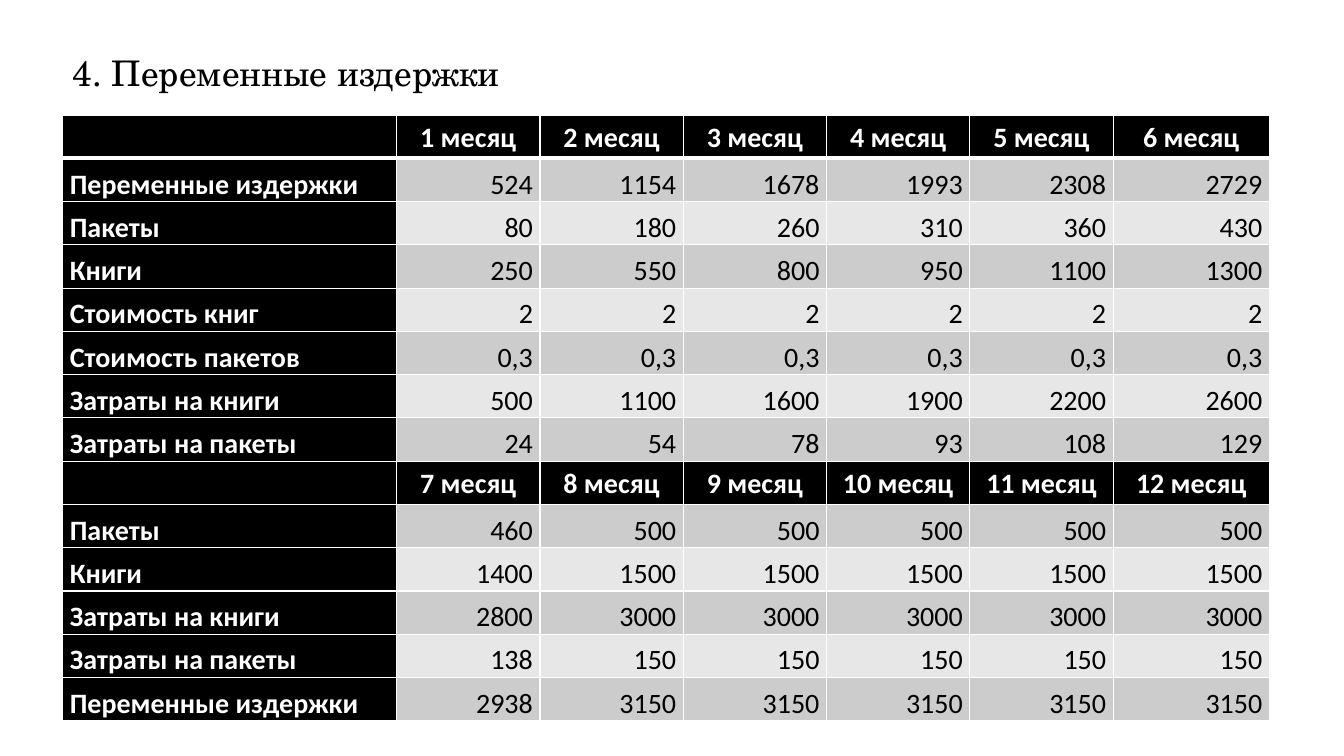
from dataclasses import dataclass

from lxml.etree import SubElement
from pptx import Presentation
from pptx.dml.color import RGBColor
from pptx.enum.text import MSO_ANCHOR, PP_ALIGN
from pptx.oxml.ns import qn
from pptx.slide import Slide
from pptx.table import _Cell
from pptx.text.text import _Paragraph
from pptx.util import Pt

BLACK = "000000"
WHITE = "FFFFFF"
BAND_FILLS = ("E7E7E7", "CCCCCC")
TABLE_LEFT = 44.9
TABLE_TOP = 82.2
ROW_HEIGHT = 30.9
COLUMN_WIDTHS = [238.4] + [102.36] * 5 + [111.6]
THIN_BORDER = 1
HEADER_BORDER = 3


@dataclass(frozen=True)
class CostRow:
    label: str
    values: list[str]
    is_header: bool = False


@dataclass(frozen=True)
class CellStyle:
    fill: str
    text_color: str
    bold: bool
    alignment: PP_ALIGN
    anchor: MSO_ANCHOR


def month_row(first: int) -> CostRow:
    return CostRow("", [f"{month} месяц" for month in range(first, first + 6)], True)


COST_ROWS = [
    month_row(1),
    CostRow("Переменные издержки", ["524", "1154", "1678", "1993", "2308", "2729"]),
    CostRow("Пакеты", ["80", "180", "260", "310", "360", "430"]),
    CostRow("Книги", ["250", "550", "800", "950", "1100", "1300"]),
    CostRow("Стоимость книг", ["2"] * 6),
    CostRow("Стоимость пакетов", ["0,3"] * 6),
    CostRow("Затраты на книги", ["500", "1100", "1600", "1900", "2200", "2600"]),
    CostRow("Затраты на пакеты", ["24", "54", "78", "93", "108", "129"]),
    month_row(7),
    CostRow("Пакеты", ["460"] + ["500"] * 5),
    CostRow("Книги", ["1400"] + ["1500"] * 5),
    CostRow("Затраты на книги", ["2800"] + ["3000"] * 5),
    CostRow("Затраты на пакеты", ["138"] + ["150"] * 5),
    CostRow("Переменные издержки", ["2938"] + ["3150"] * 5),
]

HEADER_STYLE = CellStyle(BLACK, WHITE, True, PP_ALIGN.CENTER, MSO_ANCHOR.MIDDLE)
LABEL_STYLE = CellStyle(BLACK, WHITE, True, PP_ALIGN.LEFT, MSO_ANCHOR.BOTTOM)
VALUE_STYLES = [
    CellStyle(fill, BLACK, False, PP_ALIGN.RIGHT, MSO_ANCHOR.BOTTOM)
    for fill in BAND_FILLS
]


def color(value: str) -> RGBColor:
    return RGBColor.from_string(value)


def format_paragraph(
    paragraph: _Paragraph, font_name: str, size: float, text_color: str,
    bold: bool, line_spacing: float,
) -> None:
    paragraph.line_spacing = line_spacing
    for run in paragraph.runs:
        run.font.name = font_name
        run.font.size = Pt(size)
        run.font.bold = bold
        run.font.color.rgb = color(text_color)


def add_title(slide: Slide, text: str) -> None:
    shape = slide.shapes.add_textbox(Pt(44.9), Pt(25.2), Pt(340.6), Pt(56.9))
    text_frame = shape.text_frame
    text_frame.word_wrap = True
    text_frame.vertical_anchor = MSO_ANCHOR.MIDDLE
    text_frame.text = text
    format_paragraph(text_frame.paragraphs[0], "TeX Gyre Schola", 25.2, BLACK, False, 0.9)


def add_borders(cell: _Cell, row_index: int) -> None:
    properties = cell._tc.get_or_add_tcPr()
    widths = {
        "a:lnL": THIN_BORDER,
        "a:lnR": THIN_BORDER,
        "a:lnT": HEADER_BORDER if row_index == 1 else THIN_BORDER,
        "a:lnB": HEADER_BORDER if row_index == 0 else THIN_BORDER,
    }
    for tag, width in widths.items():
        line = SubElement(properties, qn(tag), w=str(Pt(width)))
        fill = SubElement(line, qn("a:solidFill"))
        SubElement(fill, qn("a:srgbClr"), val=WHITE)


def write_cell(cell: _Cell, text: str, style: CellStyle, row_index: int) -> None:
    add_borders(cell, row_index)
    cell.fill.solid()
    cell.fill.fore_color.rgb = color(style.fill)
    cell.margin_left = cell.margin_right = Pt(5)
    cell.margin_top = cell.margin_bottom = Pt(0)
    cell.vertical_anchor = style.anchor
    cell.text_frame.text = text
    paragraph = cell.text_frame.paragraphs[0]
    paragraph.alignment = style.alignment
    format_paragraph(paragraph, "Calibri", 20, style.text_color, style.bold, 1.07)


def add_cost_table(slide: Slide, cost_rows: list[CostRow]) -> None:
    table = slide.shapes.add_table(
        len(cost_rows), len(COLUMN_WIDTHS), Pt(TABLE_LEFT), Pt(TABLE_TOP),
        Pt(sum(COLUMN_WIDTHS)), Pt(ROW_HEIGHT * len(cost_rows)),
    ).table
    table.horz_banding = False
    for column, width in zip(table.columns, COLUMN_WIDTHS):
        column.width = Pt(width)
    for row_index, cost_row in enumerate(cost_rows):
        table.rows[row_index].height = Pt(ROW_HEIGHT)
        for column_index, text in enumerate([cost_row.label, *cost_row.values]):
            if cost_row.is_header:
                style = HEADER_STYLE
            elif column_index == 0:
                style = LABEL_STYLE
            else:
                style = VALUE_STYLES[row_index % 2]
            write_cell(table.cell(row_index, column_index), text, style, row_index)


def main() -> None:
    presentation = Presentation()
    presentation.slide_width = Pt(960)
    presentation.slide_height = Pt(540)
    slide = presentation.slides.add_slide(presentation.slide_layouts[6])
    add_title(slide, "4. Переменные издержки")
    add_cost_table(slide, COST_ROWS)
    presentation.save("out.pptx")


if __name__ == "__main__":
    main()
